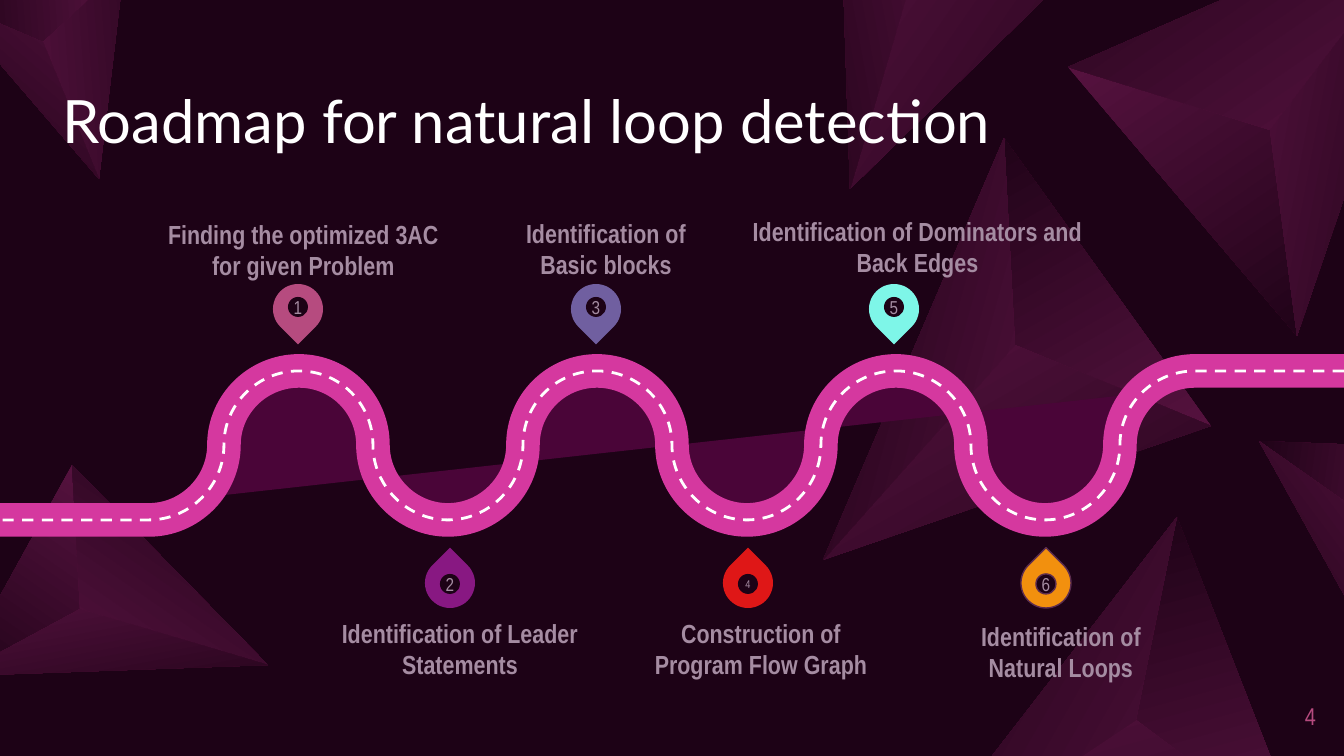
import math
from lxml import etree
from pptx import Presentation
from pptx.dml.color import RGBColor
from pptx.enum.dml import MSO_LINE
from pptx.enum.shapes import MSO_SHAPE
from pptx.enum.text import MSO_ANCHOR, MSO_AUTO_SIZE, PP_ALIGN
from pptx.oxml.ns import qn
from pptx.util import Emu, Pt

PX = 914400 / 134.4
WIDTH, HEIGHT = 1344, 756

NIGHT = RGBColor(0x1D, 0x02, 0x16)
PLUM = RGBColor(0x59, 0x13, 0x41)
ROAD_FILL = RGBColor(0x4A, 0x05, 0x38)
ROAD_PINK = RGBColor(0xD5, 0x38, 0x9F)
WHITE = RGBColor(0xFF, 0xFF, 0xFF)
MAUVE = RGBColor(0xA5, 0x8C, 0xA2)
ROSE = RGBColor(0xB6, 0x4B, 0x7F)
VIOLET = RGBColor(0x70, 0x5F, 0xA0)
AQUA = RGBColor(0x7E, 0xF6, 0xE8)
PURPLE = RGBColor(0x88, 0x18, 0x82)
RED = RGBColor(0xDF, 0x17, 0x17)
ORANGE = RGBColor(0xF2, 0x90, 0x0E)
OUTLINE = RGBColor(0x5C, 0x2C, 0x4F)


def box(*pixels):
    return [Emu(round(v * PX)) for v in pixels]


def write(shape, text, size, color, align, anchor, font="Arial Narrow", bold=False):
    frame = shape.text_frame
    frame.word_wrap = True
    frame.auto_size = MSO_AUTO_SIZE.NONE
    frame.vertical_anchor = anchor
    frame.margin_left = frame.margin_right = frame.margin_top = frame.margin_bottom = 0
    paragraph = frame.paragraphs[0]
    paragraph.alignment = align
    run = paragraph.add_run()
    run.text = text
    run.font.name, run.font.size, run.font.bold = font, Pt(size), bold
    run.font.color.rgb = color
    return paragraph


prs = Presentation()
prs.slide_width, prs.slide_height = box(WIDTH, HEIGHT)
slide = prs.slides.add_slide(prs.slide_layouts[5])
shapes = slide.shapes
slide.background.fill.solid()
slide.background.fill.fore_color.rgb = NIGHT

# Background pyramids: rotation, three outer corners, inner corner
pyramids = [
    (100.5, (1297, 336), (1068, 67), (1445, -98), (1270, 130)),
    (169.6, (-44, 676), (72, 465), (268, 665), (80, 609)),
    (285.1, (1004, 138), (1211, 426), (823, 560), (1015, 345)),
    (299.6, (1177, 517), (1306, 847), (896, 880), (1136, 720)),
    (233.2, (1259, 441), (1442, 448), (1374, 649), (1347, 503)),
    (259.7, (835, -269), (1144, -99), (850, 189), (931, -87)),
    (220.8, (-55, 0), (124, -32), (99, 179), (43, 42)),
]
for rotation, a, b, c, inner in pyramids:
    cos, sin = math.cos(math.radians(rotation)), math.sin(math.radians(rotation))
    for angle, face in ((315, (a, b, inner)), (135, (b, c, inner)), (270, (a, inner, c))):
        if min(x for x, y in face) >= WIDTH or max(y for x, y in face) <= 0:
            continue
        # Turn the face upright around its own centre, so its gradient turns with it
        upright = [(x * cos + y * sin, y * cos - x * sin) for x, y in face]
        mid_x, mid_y = [(min(v) + max(v)) / 2 for v in zip(*upright)]
        shift_x = mid_x * cos - mid_y * sin - mid_x
        shift_y = mid_x * sin + mid_y * cos - mid_y
        corners = [((x + shift_x) * PX, (y + shift_y) * PX) for x, y in upright]
        builder = shapes.build_freeform(*corners[0])
        builder.add_line_segments(corners[1:], close=True)
        facet = builder.convert_to_shape()
        facet.rotation = rotation
        facet.shadow.inherit = False
        facet.line.fill.background()
        facet.fill.gradient()
        facet.fill.gradient_angle = 360 - angle
        for stop, color, position in zip(facet.fill.gradient_stops, (PLUM, NIGHT), (0, 1)):
            stop.color.rgb = color
            stop.position = position

# Title, brought in front of the pyramids
title = shapes.title
title.left, title.top, title.width, title.height = box(62, 69, 1302, 87)
heading = write(title, "Roadmap for natural loop detection", 32, WHITE,
                PP_ALIGN.LEFT, MSO_ANCHOR.BOTTOM, "Lato")
heading.line_spacing = 0.9
title.element.getparent().append(title.element)

# Slide number
write(shapes.add_textbox(*box(1257, 687, 59, 58)), "4", 13, ROSE,
      PP_ALIGN.RIGHT, MSO_ANCHOR.MIDDLE)

# Winding road and its centre line: quarter arcs on an 18-column grid
levels = (371, 445, 520, 445)
bends = [(round(k * WIDTH / 18), levels[(16 - k) % 4]) for k in range(16, 1, -1)]
for color, width in ((ROAD_PINK, 18), (WHITE, 1.5)):
    builder = shapes.build_freeform(WIDTH, 371, scale=PX)
    builder.add_line_segments(bends + [(0, 520)], close=False)
    road = builder.convert_to_shape()
    road.shadow.inherit = False
    road.line.color.rgb = color
    road.line.width = Pt(width)
    if color == ROAD_PINK:
        road.fill.solid()
        road.fill.fore_color.rgb = ROAD_FILL
    else:
        road.fill.background()
        road.line.dash_style = MSO_LINE.DASH
    segments = list(road.element.iter(qn("a:lnTo")))
    ends = [(int(s[0].get("x")), int(s[0].get("y"))) for s in segments]
    for i in range(1, len(bends)):
        (x0, y0), (x1, y1) = ends[i - 1], ends[i]
        dx, dy = 0.55 * (x1 - x0), 0.55 * (y1 - y0)
        if i % 2:
            controls = (x0 + dx, y0), (x1, y1 - dy)
        else:
            controls = (x0, y0 + dy), (x1 - dx, y1)
        curve = etree.Element(qn("a:cubicBezTo"))
        for x, y in (*controls, (x1, y1)):
            etree.SubElement(curve, qn("a:pt"), x=str(round(x)), y=str(round(y)))
        segments[i].getparent().replace(segments[i], curve)

# Steps: pin colour, number size, label text and label left, top, width
steps = [
    (ROSE, 10, "Finding the optimized 3AC for given Problem", 167, 203, 273),
    (PURPLE, 10, "Identification of Leader Statements", 339, 617, 242),
    (VIOLET, 10, "Identification of Basic blocks", 511, 202, 190),
    (RED, 6, "Construction of Program Flow Graph", 636, 617, 250),
    (AQUA, 10, "Identification of Dominators and Back Edges", 751, 200, 333),
    (ORANGE, 10, "Identification of Natural Loops", 951, 620, 220),
]
for i, (color, size, label, left, top, width) in enumerate(steps):
    above = i % 2 == 0
    pin_x = (273 if above else 425) + 298 * (i // 2)
    pin_y, dot_y = (284, 297) if above else (558, 574)
    pin = shapes.add_shape(MSO_SHAPE.TEAR, *box(pin_x, pin_y, 50, 50))
    pin.rotation = 135 if above else 315
    dot = shapes.add_shape(MSO_SHAPE.OVAL, *box(pin_x + 15, dot_y, 20, 20))
    for shape, fill in ((pin, color), (dot, NIGHT)):
        shape.shadow.inherit = False
        shape.fill.solid()
        shape.fill.fore_color.rgb = fill
        if color == ORANGE:
            shape.line.color.rgb = OUTLINE
            shape.line.width = Pt(0.75)
        else:
            shape.line.fill.background()
    write(dot, str(i + 1), size, MAUVE, PP_ALIGN.CENTER, MSO_ANCHOR.MIDDLE)
    write(shapes.add_textbox(*box(left, top, width, 78)), label, 14, MAUVE, PP_ALIGN.CENTER,
          MSO_ANCHOR.BOTTOM if above else MSO_ANCHOR.TOP, bold=True)

prs.save("out.pptx")
